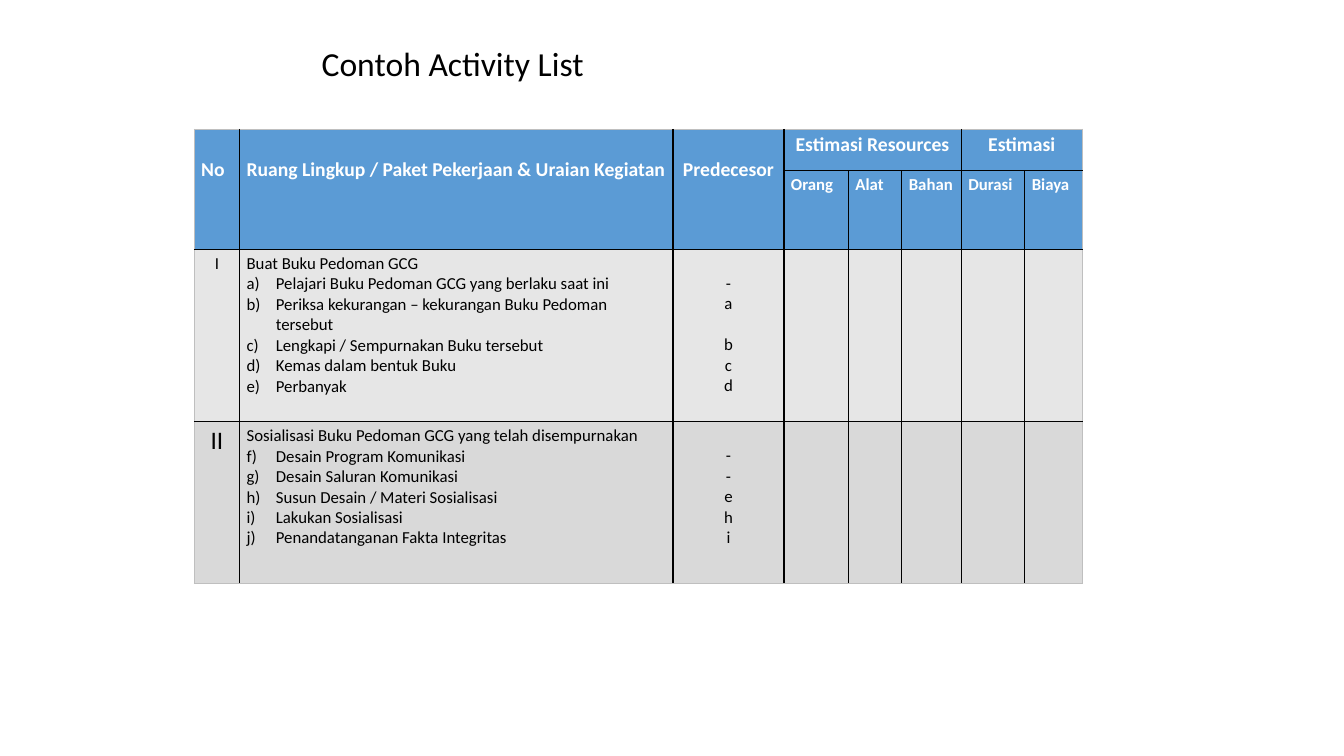
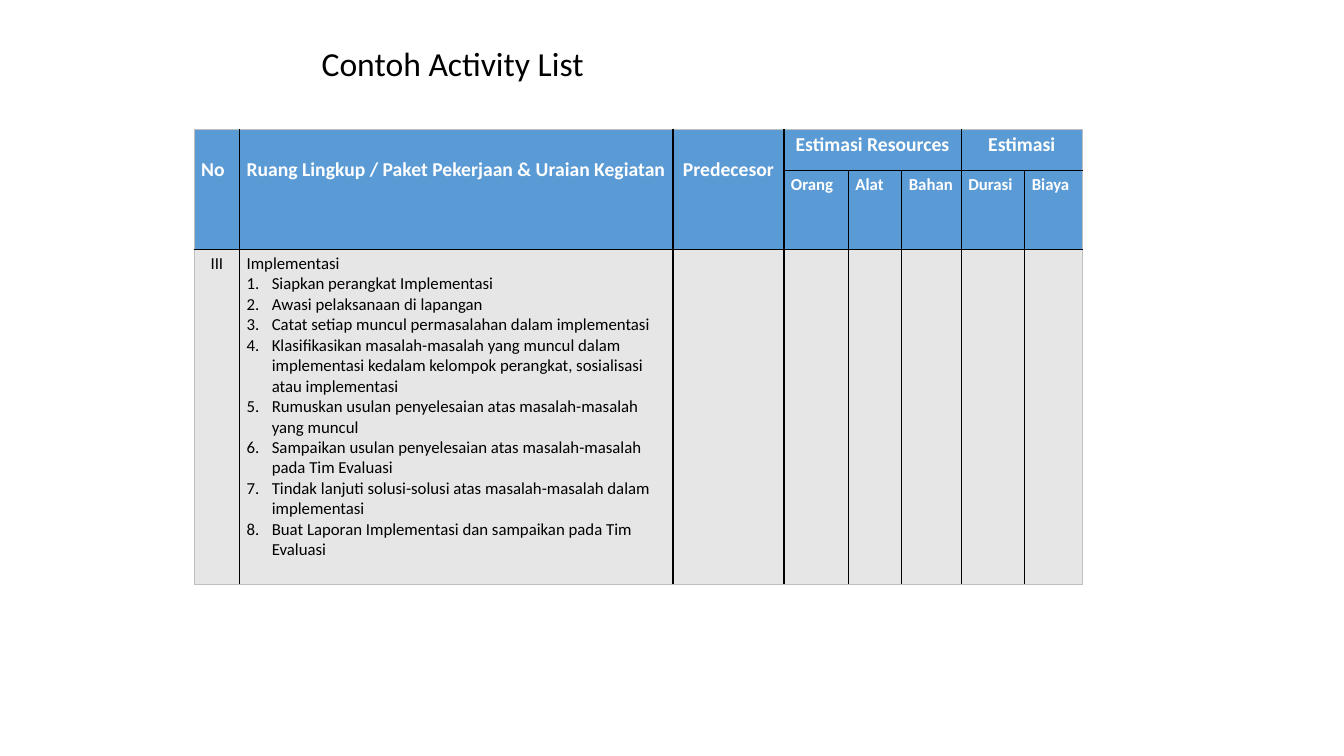
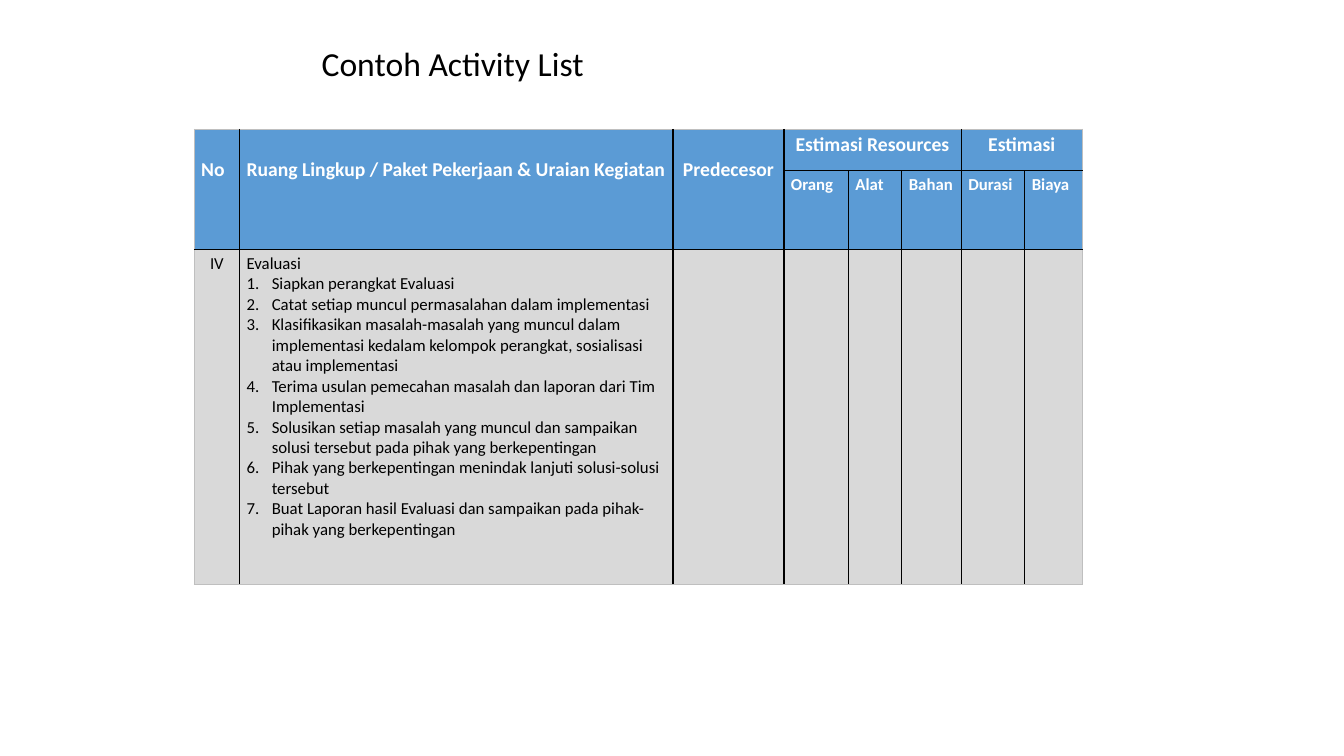
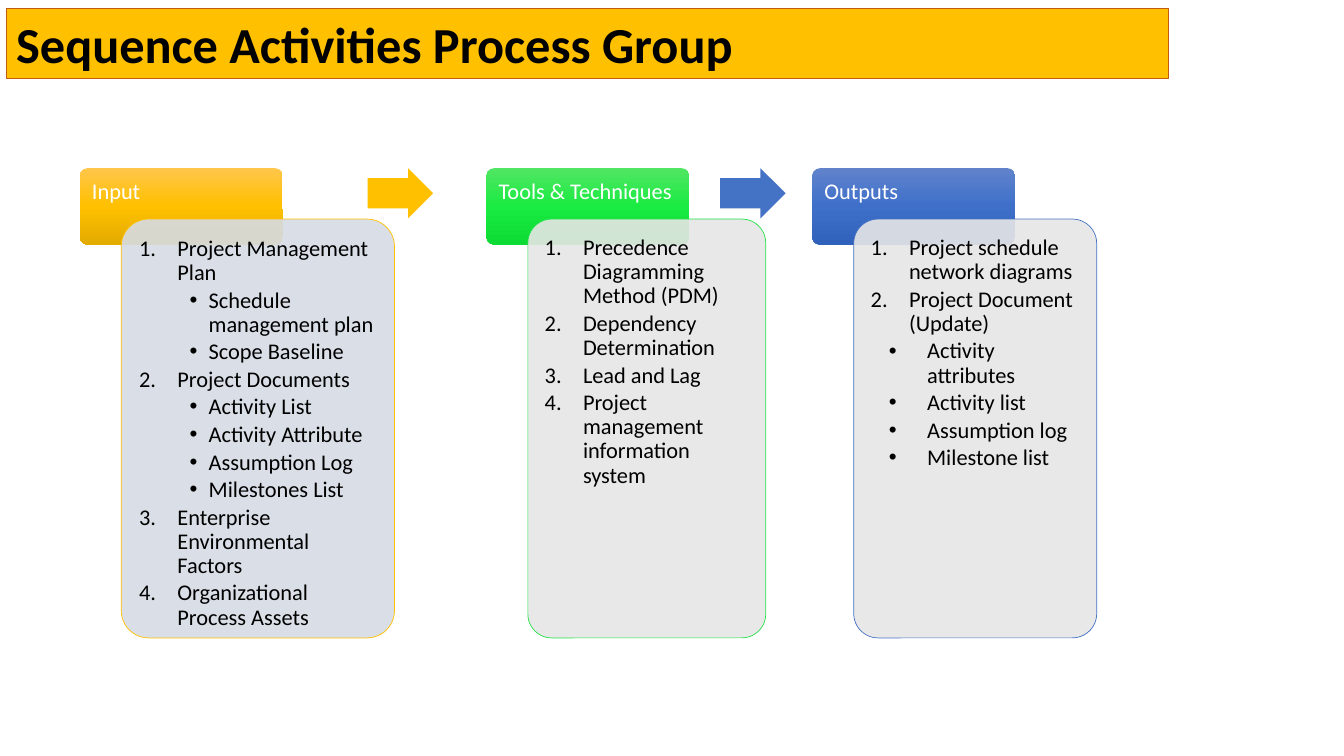
from dataclasses import dataclass

from lxml.etree import SubElement
from pptx import Presentation
from pptx.dml.color import RGBColor
from pptx.enum.shapes import MSO_SHAPE as Preset
from pptx.enum.text import MSO_ANCHOR as Anchor, MSO_AUTO_SIZE as AutoSize, PP_ALIGN as Align
from pptx.oxml.ns import qn
from pptx.util import Inches, Pt


@dataclass(frozen=True)
class Theme:
    """Colours, type and slide size shared by all slides."""
    width: int = Inches(13.333)
    height: int = Inches(7.5)
    font: str = "Calibri"
    ink: str = "000000"
    paper: str = "FFFFFF"
    table_head: str = "5B9BD5"
    row_light: str = "E6E6E6"
    row_dark: str = "D9D9D9"
    outer_rule: str = "BFBFBF"
    banner: str = "FFC000"
    banner_line: str = "C55A11"
    banner_size: float = 36
    title_size: float = 24
    stage_size: float = 16
    head_size: float = 14
    cell_size: float = 12
    large_number: float = 18


@dataclass(frozen=True)
class Line:
    """One paragraph with its list style and the gap before it in points."""
    text: str
    style: str = "plain"
    gap: float = 0


@dataclass(frozen=True)
class Stage:
    """One process stage; left, panel width and arrow are shares of the slide."""
    name: str
    left: float
    panel_width: float
    gradient: tuple
    panel_fill: str
    outline: str
    lines: list
    arrow: tuple = ()


THEME = Theme()
CORNER = 0.1
LIST_STYLES = {
    "plain": None,
    "alpha": (0, 0.29, 0.29, {"type": "alphaLcParenR"}),
    "alpha from f": (0, 0.29, 0.29, {"type": "alphaLcParenR", "startAt": "6"}),
    "number": (0, 0.25, 0.25, {"type": "arabicPeriod"}),
    "stage number": (1, 0.38, 0.38, {"type": "arabicPeriod"}),
    "stage bullet": (2, 0.69, 0.19, {"char": "•"}),
    "wide bullet": (2, 0.56, 0.38, {"char": "•"}),
}
COLUMN_WEIGHTS = (45, 430, 110, 64, 53, 59, 63, 57)
HEAD_ROWS = (5.47, 10.4)
HEAD_CELLS = (
    (0, 0, 1, 0, "No", Align.LEFT),
    (0, 1, 1, 1, "Ruang Lingkup / Paket Pekerjaan & Uraian Kegiatan", Align.LEFT),
    (0, 2, 1, 2, "Predecesor", Align.CENTER),
    (0, 3, 0, 5, "Estimasi Resources", Align.CENTER),
    (0, 6, 0, 7, "Estimasi", Align.CENTER),
)
SUB_HEADS = ("Orang", "Alat", "Bahan", "Durasi", "Biaya")


def styled(style, *texts):
    """Return lines that share one list style."""
    return [Line(text, style) for text in texts]


def apply(target, **values):
    """Set several attributes of one object."""
    for name, value in values.items():
        setattr(target, name, value)


def color(code):
    """Turn a hex code into a colour."""
    return RGBColor.from_string(code)


def share(left, top, width, height):
    """Turn percentages of the slide into a position and size."""
    return tuple(round(part * whole / 100) for part, whole in
                 zip((left, top, width, height), (THEME.width, THEME.height) * 2))


def set_margins(target, left, top, right, bottom):
    """Set the four text margins in inches."""
    apply(target, margin_left=Inches(left), margin_top=Inches(top),
          margin_right=Inches(right), margin_bottom=Inches(bottom))


def add_list_mark(paragraph, style):
    """Give a paragraph the indent and mark of a list style."""
    if LIST_STYLES[style] is None:
        return
    level, left, hanging, mark = LIST_STYLES[style]
    paragraph.level = level
    properties = paragraph._p.get_or_add_pPr()
    properties.set("marL", str(Inches(left)))
    properties.set("indent", str(-Inches(hanging)))
    if "char" in mark:
        SubElement(properties, qn("a:buFont"), typeface="Arial")
    tag = "a:buChar" if "char" in mark else "a:buAutoNum"
    SubElement(properties, qn(tag), **mark)


def write(frame, lines, size, ink=THEME.ink, bold=False, **paragraph_format):
    """Fill a text frame with formatted lines."""
    for index, line in enumerate(lines):
        paragraph = frame.add_paragraph() if index else frame.paragraphs[0]
        add_list_mark(paragraph, line.style)
        apply(paragraph, **paragraph_format)
        if line.gap:
            paragraph.space_before = Pt(line.gap)
        run = paragraph.add_run()
        run.text = line.text
        apply(run.font, name=THEME.font, size=Pt(size), bold=bold)
        run.font.color.rgb = color(ink)


def add_title(presentation, text, box, size, bold=False, spacing=1.0):
    """Add a slide and place its title."""
    slide = presentation.slides.add_slide(presentation.slide_layouts[5])
    title = slide.shapes.title
    apply(title, **dict(zip(("left", "top", "width", "height"), share(*box))))
    apply(title.text_frame, word_wrap=True, auto_size=AutoSize.NONE, vertical_anchor=Anchor.MIDDLE)
    set_margins(title.text_frame, 0.1, 0.05, 0.1, 0.05)
    write(title.text_frame, [Line(text)], size, bold=bold, alignment=Align.LEFT, line_spacing=spacing)
    return slide


def add_borders(cell, outer):
    """Draw the four cell borders, lighter where the table ends."""
    properties = cell._tc.get_or_add_tcPr()
    for side in "LRTB":
        code, width = (THEME.outer_rule, 0.5) if side in outer else (THEME.ink, 1)
        line = SubElement(properties, qn(f"a:ln{side}"), w=str(Pt(width)))
        fill = SubElement(line, qn("a:solidFill"))
        SubElement(fill, qn("a:srgbClr"), val=code)


def style_cells(table, row_fills):
    """Give every cell its borders, fill and margins."""
    last_row, last_column = len(table.rows), len(table.columns)
    for row, fill in enumerate(row_fills):
        for column in range(last_column):
            cell = table.cell(row, column)
            width = cell.span_width if cell.is_merge_origin else 1
            edges = {"L": column == 0, "R": column + width == last_column,
                     "T": row == 0, "B": row + 1 == last_row}
            add_borders(cell, [side for side, is_outer in edges.items() if is_outer])
            cell.fill.solid()
            cell.fill.fore_color.rgb = color(fill)
            set_margins(cell, 0.07, 0.04, 0.07, 0.04)


def write_head(table):
    """Write the two header rows."""
    for row, column, end_row, _, text, alignment in HEAD_CELLS:
        cell = table.cell(row, column)
        if end_row:
            cell.margin_top = Inches(0.28)
        write(cell.text_frame, [Line(text)], THEME.head_size, THEME.paper, True, alignment=alignment)
    for column, text in enumerate(SUB_HEADS, 3):
        write(table.cell(1, column).text_frame, [Line(text)], THEME.cell_size, THEME.paper, True)


def add_activity_slide(presentation, packages):
    """Add an activity list of (number, size, fill, height, lines, predecessors)."""
    slide = add_title(presentation, "Contoh Activity List", (23.18, 5.6, 46.88, 6.13),
                      THEME.title_size, spacing=0.9)
    heights = HEAD_ROWS + tuple(package[3] for package in packages)
    box = share(14.45, 17.1, 66.08, sum(heights))
    table = slide.shapes.add_table(len(heights), len(COLUMN_WEIGHTS), *box).table
    apply(table, first_row=False, horz_banding=False)
    for column, weight in zip(table.columns, COLUMN_WEIGHTS):
        column.width = round(box[2] * weight / sum(COLUMN_WEIGHTS))
    for row, height in zip(table.rows, heights):
        row.height = round(THEME.height * height / 100)
    for row, column, end_row, end_column, *_ in HEAD_CELLS:
        table.cell(row, column).merge(table.cell(end_row, end_column))
    style_cells(table, [THEME.table_head] * 2 + [package[2] for package in packages])
    write_head(table)
    for row, (number, size, _, _, lines, predecessors) in enumerate(packages, 2):
        write(table.cell(row, 0).text_frame, [Line(number)], size, alignment=Align.CENTER)
        write(table.cell(row, 1).text_frame, lines, THEME.cell_size)
        if predecessors:
            cell = table.cell(row, 2)
            cell.margin_top = Inches(0.24)
            write(cell.text_frame, predecessors, THEME.cell_size, alignment=Align.CENTER)


def add_shape(slide, preset, box, adjustments, fill=None, outline=None):
    """Add a preset shape with a plain fill and an optional outline."""
    shape = slide.shapes.add_shape(preset, *share(*box))
    shape.shadow.inherit = False
    for index, value in enumerate(adjustments):
        shape.adjustments[index] = value
    if fill:
        shape.fill.solid()
        shape.fill.fore_color.rgb = color(fill)
    if outline:
        shape.line.color.rgb = color(outline)
        shape.line.width = Pt(0.5)
    else:
        shape.line.fill.background()
    return shape


def set_gradient(shape, codes):
    """Fill a shape from top to bottom with evenly spaced colours."""
    shape.fill.gradient()
    shape.fill.gradient_angle = 270
    stops = shape._element.spPr.find(".//" + qn("a:gsLst"))
    for stop in list(stops):
        stops.remove(stop)
    for index, code in enumerate(codes):
        stop = SubElement(stops, qn("a:gs"), pos=str(100000 * index // (len(codes) - 1)))
        SubElement(stop, qn("a:srgbClr"), val=code)


def set_opacity(shape, percent):
    """Make a plain fill partly transparent."""
    fill = shape._element.spPr.find(qn("a:solidFill") + "/" + qn("a:srgbClr"))
    SubElement(fill, qn("a:alpha"), val=str(percent * 1000))


def write_box(shape, lines, margins, ink, space_after):
    """Write left-aligned text at the top of a stage box."""
    apply(shape.text_frame, word_wrap=True, vertical_anchor=Anchor.TOP)
    set_margins(shape.text_frame, *margins)
    write(shape.text_frame, lines, THEME.stage_size, ink, alignment=Align.LEFT,
          line_spacing=0.9, space_after=Pt(space_after))


def add_stage(slide, stage):
    """Add the heading, panel and arrow of one stage."""
    heading = add_shape(slide, Preset.ROUNDED_RECTANGLE, (stage.left, 22.25, 15.1, 10.1), [CORNER])
    set_gradient(heading, stage.gradient)
    write_box(heading, [Line(stage.name)], (0.1, 0.1, 0.1, 0.3), THEME.paper, 5.6)
    panel = add_shape(slide, Preset.ROUNDED_RECTANGLE,
                      (stage.left + 3.08, 28.98, stage.panel_width, 55.4),
                      [CORNER], stage.panel_fill, stage.outline)
    set_opacity(panel, 90)
    write_box(panel, stage.lines, (0.1,) * 4, THEME.ink, 2.4)
    if stage.arrow:
        left, fill = stage.arrow
        add_shape(slide, Preset.RIGHT_ARROW, (left, 22.25, 4.87, 6.63), [0.6, 0.5], fill)


def add_process_slide(presentation, stages):
    """Add the banner title and the process stages."""
    slide = add_title(presentation, "Sequence Activities Process Group",
                      (0.45, 1.07, 86.48, 9.33), THEME.banner_size, bold=True)
    banner = slide.shapes.title
    banner.fill.solid()
    banner.fill.fore_color.rgb = color(THEME.banner)
    banner.line.color.rgb = color(THEME.banner_line)
    banner.line.width = Pt(0.75)
    for stage in stages:
        add_stage(slide, stage)


ACTIVITY_SLIDES = (
    [
        ("I", THEME.cell_size, THEME.row_light, 22.8,
         [Line("Buat Buku Pedoman GCG")] + styled(
             "alpha",
             "Pelajari Buku Pedoman GCG yang berlaku saat ini",
             "Periksa kekurangan – kekurangan Buku Pedoman tersebut",
             "Lengkapi / Sempurnakan Buku tersebut",
             "Kemas dalam bentuk Buku",
             "Perbanyak"),
         styled("plain", "-", "a") + [Line("b", gap=14.65)] + styled("plain", "c", "d")),
        ("II", THEME.large_number, THEME.row_dark, 21.33,
         [Line("Sosialisasi Buku Pedoman GCG yang telah disempurnakan")] + styled(
             "alpha from f",
             "Desain Program Komunikasi",
             "Desain Saluran Komunikasi",
             "Susun Desain / Materi Sosialisasi",
             "Lakukan Sosialisasi",
             "Penandatanganan Fakta Integritas"),
         styled("plain", "-", "-", "e", "h", "i")),
    ],
    [
        ("III", THEME.cell_size, THEME.row_light, 44.3,
         [Line("Implementasi")] + styled(
             "number",
             "Siapkan perangkat Implementasi",
             "Awasi pelaksanaan di lapangan",
             "Catat setiap muncul permasalahan dalam implementasi",
             "Klasifikasikan masalah-masalah yang muncul dalam implementasi kedalam "
             "kelompok perangkat, sosialisasi atau implementasi",
             "Rumuskan usulan penyelesaian atas masalah-masalah yang muncul",
             "Sampaikan usulan penyelesaian atas masalah-masalah pada Tim Evaluasi",
             "Tindak lanjuti solusi-solusi atas masalah-masalah dalam implementasi",
             "Buat Laporan Implementasi dan sampaikan pada Tim Evaluasi"),
         []),
    ],
    [
        ("IV", THEME.cell_size, THEME.row_dark, 44.3,
         [Line("Evaluasi")] + styled(
             "number",
             "Siapkan perangkat Evaluasi",
             "Catat setiap muncul permasalahan dalam implementasi",
             "Klasifikasikan masalah-masalah yang muncul dalam implementasi kedalam "
             "kelompok perangkat, sosialisasi atau implementasi",
             "Terima usulan pemecahan masalah dan laporan dari Tim Implementasi",
             "Solusikan setiap masalah yang muncul dan sampaikan solusi tersebut pada "
             "pihak yang berkepentingan",
             "Pihak yang berkepentingan menindak lanjuti solusi-solusi tersebut",
             "Buat Laporan hasil Evaluasi dan sampaikan pada pihak-pihak yang berkepentingan"),
         []),
    ],
)

STAGES = (
    Stage("Input", 5.94, 20.33, ("FFC64B", "FFC000", "E3AB00"), "D6DCE5", "FFC000",
          styled("stage number", "Project Management Plan")
          + styled("stage bullet", "Schedule management plan", "Scope Baseline")
          + styled("stage number", "Project Documents")
          + styled("stage bullet", "Activity List", "Activity Attribute",
                   "Assumption Log", "Milestones List")
          + styled("stage number", "Enterprise Environmental Factors",
                   "Organizational Process Assets"),
          (27.36, "FFC000")),
    Stage("Tools & Techniques", 36.2, 17.7, ("51E663", "19EB42", "0CDB34"), "E7E6E6", "23E148",
          styled("stage number", "Precedence Diagramming Method (PDM)",
                 "Dependency Determination", "Lead and Lag",
                 "Project management information system"),
          (53.58, "4472C4")),
    Stage("Outputs", 60.44, 18.08, ("6183CB", "3E70CA", "3062BB"), "E7E6E6", "4472C4",
          styled("stage number", "Project schedule network diagrams", "Project Document (Update)")
          + styled("wide bullet", "Activity attributes", "Activity list",
                   "Assumption log", "Milestone list")),
)


def main():
    """Build and save the presentation."""
    presentation = Presentation()
    apply(presentation, slide_width=THEME.width, slide_height=THEME.height)
    for packages in ACTIVITY_SLIDES:
        add_activity_slide(presentation, packages)
    add_process_slide(presentation, STAGES)
    presentation.save("out.pptx")


if __name__ == "__main__":
    main()
